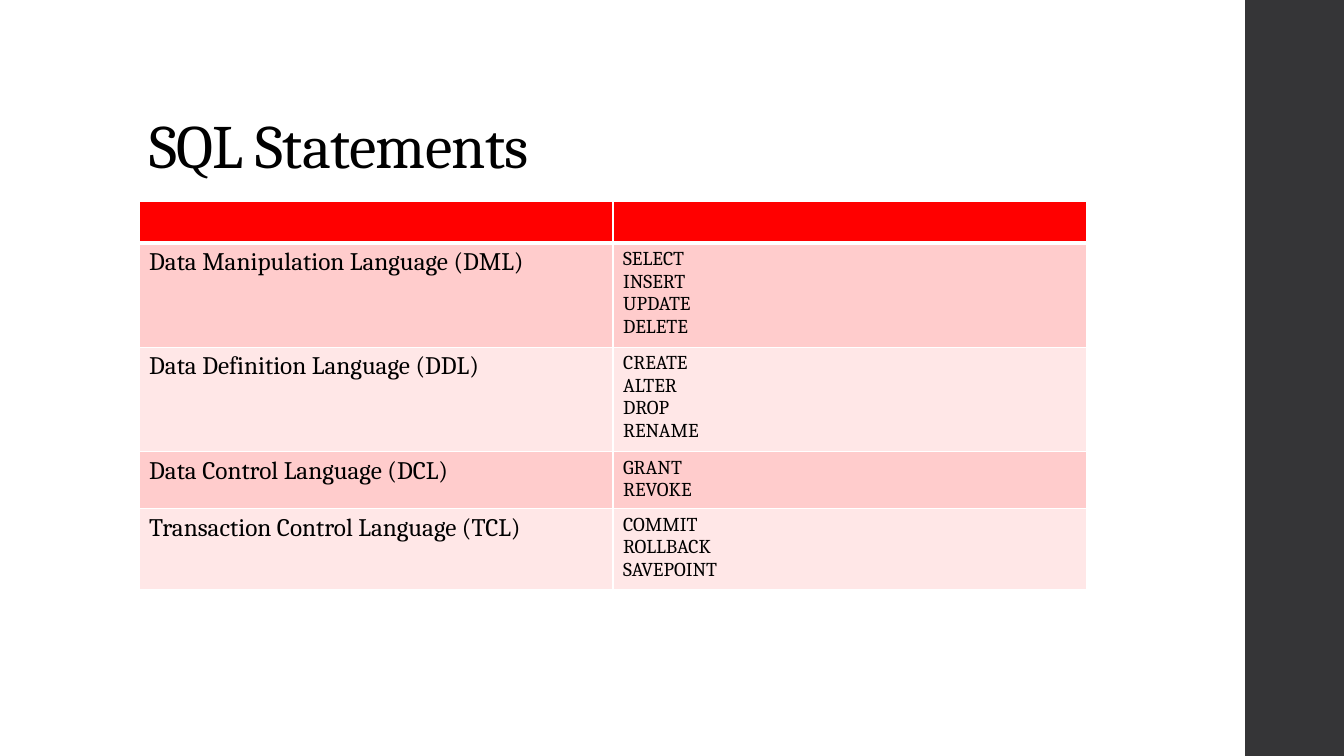
import pptx
import pptx.util
import pptx.dml.color
import pptx.enum.shapes
import pptx.enum.text
import pptx.oxml
import pptx.oxml.ns

Inches = pptx.util.Inches
RGBColor = pptx.dml.color.RGBColor

FONT = "Cambria"
BLACK = RGBColor(0x00, 0x00, 0x00)
WHITE = RGBColor(0xFF, 0xFF, 0xFF)
CHARCOAL = RGBColor(0x35, 0x35, 0x37)
RED = RGBColor(0xFF, 0x00, 0x00)
PINK = RGBColor(0xFF, 0xCC, 0xCC)
PALE_PINK = RGBColor(0xFF, 0xE7, 0xE7)

HEADER_HEIGHT = 0.41
LINE_HEIGHT = 0.225
CELL_PADDING = 0.1

STATEMENTS = [
    ("Data Manipulation Language (DML)", ["SELECT", "INSERT", "UPDATE", "DELETE"]),
    ("Data Definition Language (DDL)", ["CREATE", "ALTER", "DROP", "RENAME"]),
    ("Data Control Language (DCL)", ["GRANT", "REVOKE"]),
    ("Transaction Control Language (TCL)", ["COMMIT", "ROLLBACK", "SAVEPOINT"]),
]


def add_run(paragraph, text, size):
    """Add one run in the slide's font and return it."""
    run = paragraph.add_run()
    run.text = text
    run.font.name = FONT
    run.font.size = pptx.util.Pt(size)
    run.font.color.rgb = BLACK
    return run


def add_sidebar(slide):
    """Add the dark band on the right edge."""
    sidebar = slide.shapes.add_shape(
        pptx.enum.shapes.MSO_SHAPE.RECTANGLE,
        Inches(12.35), Inches(0), Inches(0.98), Inches(7.5))
    sidebar.shadow.inherit = False
    sidebar.fill.solid()
    sidebar.fill.fore_color.rgb = CHARCOAL
    sidebar.line.fill.background()


def add_title(slide, text):
    """Add the slide title, anchored to the bottom of its box."""
    box = slide.shapes.add_textbox(
        Inches(1.38), Inches(0.4), Inches(10.6), Inches(1.45))
    frame = box.text_frame
    frame.word_wrap = True
    frame.vertical_anchor = pptx.enum.text.MSO_ANCHOR.BOTTOM
    paragraph = frame.paragraphs[0]
    paragraph.line_spacing = 0.9
    run = add_run(paragraph, text, 44)
    run.font._element.set("spc", "-50")


def set_borders(cell, top, bottom):
    """Draw white borders, with top and bottom widths in points."""
    properties = cell._tc.get_or_add_tcPr()
    for side, width in (("L", 1), ("R", 1), ("T", top), ("B", bottom)):
        properties.append(pptx.oxml.parse_xml(
            f'<a:ln{side} {pptx.oxml.ns.nsdecls("a")} w="{pptx.util.Pt(width)}">'
            f'<a:solidFill><a:srgbClr val="{WHITE}"/></a:solidFill></a:ln{side}>'))


def fill_cell(cell, lines, size, color):
    """Fill a cell and write one paragraph per line."""
    cell.fill.solid()
    cell.fill.fore_color.rgb = color
    frame = cell.text_frame
    for index, line in enumerate(lines):
        paragraph = frame.add_paragraph() if index else frame.paragraphs[0]
        add_run(paragraph, line, size)


def add_statement_table(slide):
    """Add the table of SQL languages and their statements."""
    rows = [([], [], RED, HEADER_HEIGHT)]
    for index, (language, commands) in enumerate(STATEMENTS):
        color = PALE_PINK if index % 2 else PINK
        height = CELL_PADDING + LINE_HEIGHT * len(commands)
        rows.append(([language], commands, color, height))
    table = slide.shapes.add_table(
        len(rows), 2, Inches(1.38), Inches(2), Inches(9.4),
        Inches(sum(row[3] for row in rows))).table
    for index, (language, commands, color, height) in enumerate(rows):
        table.rows[index].height = Inches(height)
        for column, (lines, size) in enumerate(((language, 18), (commands, 14))):
            cell = table.cell(index, column)
            set_borders(cell, 3 if index == 1 else 1, 3 if index == 0 else 1)
            fill_cell(cell, lines, size, color)


def main():
    """Build the slide and save it."""
    presentation = pptx.Presentation()
    presentation.slide_width = Inches(13.33)
    presentation.slide_height = Inches(7.5)
    slide = presentation.slides.add_slide(presentation.slide_layouts[6])
    slide.background.fill.solid()
    slide.background.fill.fore_color.rgb = WHITE
    add_sidebar(slide)
    add_title(slide, "SQL Statements")
    add_statement_table(slide)
    presentation.save("out.pptx")


if __name__ == "__main__":
    main()
